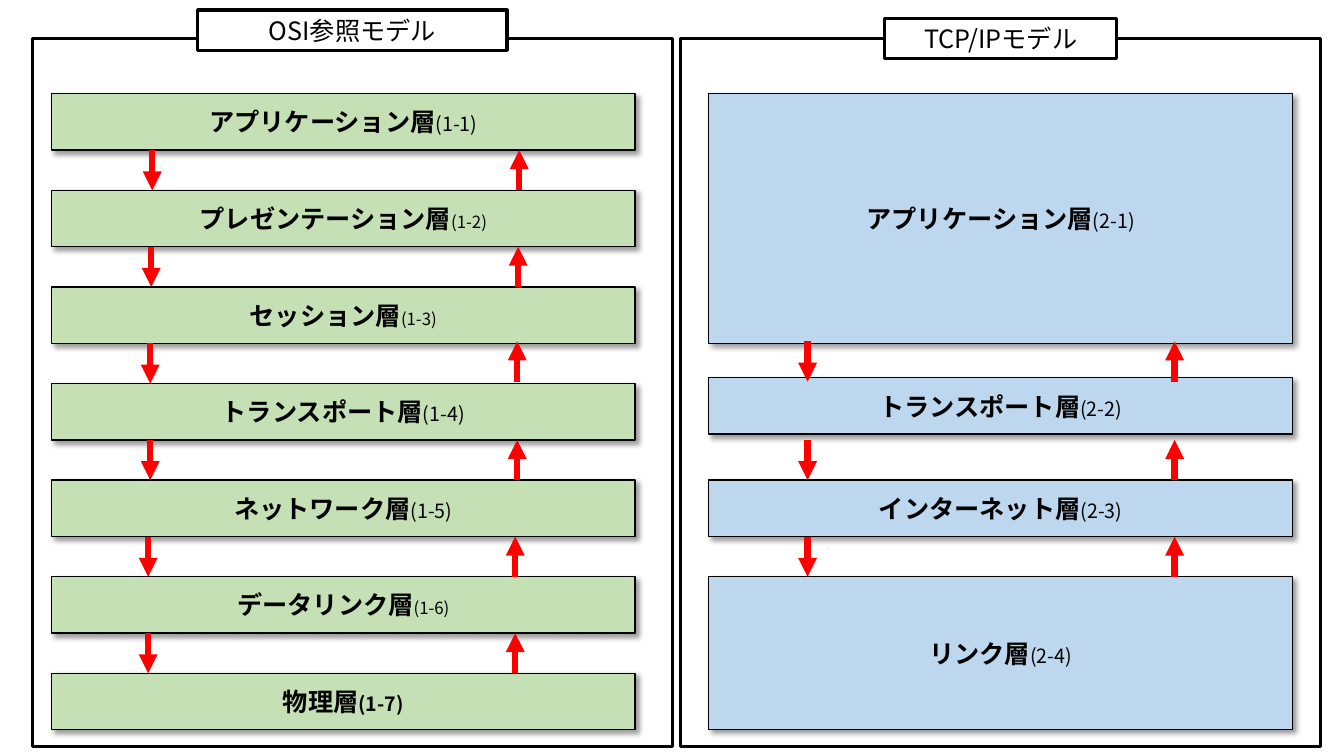
from pptx import Presentation
from pptx.dml.color import RGBColor
from pptx.enum.shapes import MSO_CONNECTOR, MSO_SHAPE
from pptx.enum.text import MSO_ANCHOR, MSO_AUTO_SIZE, PP_ALIGN
from pptx.oxml.ns import qn
from pptx.util import Inches, Pt
from lxml.etree import SubElement

COLORS = {"black": "000000", "white": "FFFFFF", "green": "C5E0B4",
          "blue": "BDD7EE", "red": "FF0000"}
FONT = "Noto Sans CJK JP"
TOP, BAR = 0.93, 0.56
PITCH = (6.68 - TOP) / 6
LAYER_W, ARROW_GAP = 5.79, 3.64


def row_y(row):
    """Return the top of a layer row in inches."""
    return TOP + row * PITCH


def rgb(name):
    """Return the named palette colour."""
    return RGBColor.from_string(COLORS[name])


class Diagram:
    """Draw layer-model elements on one slide in a shared style."""

    def __init__(self, slide):
        """Keep the slide to draw on."""
        self.shapes = slide.shapes

    def box(self, x, y, w, h, fill=None, line=2.25):
        """Add an outlined rectangle, filled when a colour is given."""
        sp = self.shapes.add_shape(MSO_SHAPE.RECTANGLE, *map(Inches, (x, y, w, h)))
        sp.shadow.inherit = False
        if fill:
            sp.fill.solid()
            sp.fill.fore_color.rgb = rgb(fill)
        else:
            sp.fill.background()
        sp.line.color.rgb = rgb("black")
        sp.line.width = Pt(line)
        return sp

    def text(self, sp, *runs):
        """Write centred runs given as text, size and boldness."""
        tf = sp.text_frame
        tf.vertical_anchor = MSO_ANCHOR.MIDDLE
        p = tf.paragraphs[0]
        p.alignment = PP_ALIGN.CENTER
        for content, size, bold in runs:
            r = p.add_run()
            r.text = content
            r.font.size, r.font.bold, r.font.name = Pt(size), bold, FONT
            r.font.color.rgb = rgb("black")
            ea = SubElement(r.font._element, qn("a:ea"), typeface=FONT)
            r.font._element.find(qn("a:latin")).addnext(ea)

    def shadow(self, sp):
        """Give a shape a soft shadow to the lower right."""
        effects = sp._element.spPr.find(qn("a:effectLst"))
        outer = SubElement(effects, qn("a:outerShdw"), blurRad=str(Pt(4)),
                           dist=str(Pt(3)), dir="2700000", algn="tl", rotWithShape="0")
        color = SubElement(outer, qn("a:srgbClr"), val=COLORS["black"])
        SubElement(color, qn("a:alpha"), val="40000")

    def frame(self, x, title, title_y, title_w):
        """Add a model frame with its title centred on the top edge."""
        width = 6.35
        self.box(x, 0.38, width, 7.03)
        sp = self.box(x + (width - title_w) / 2, title_y, title_w, 0.4, "white")
        self.text(sp, (title, 18, False))
        sp.text_frame.auto_size = MSO_AUTO_SIZE.SHAPE_TO_FIT_TEXT

    def layer(self, x, row, span, fill, name, number, size=14, bold=False):
        """Add a layer bar that covers a number of rows."""
        sp = self.box(x, row_y(row), LAYER_W, BAR + (span - 1) * PITCH, fill, 1)
        self.shadow(sp)
        self.text(sp, (name, 18, True), (number, size, bold))

    def arrow(self, x, start, end):
        """Add a vertical red arrow."""
        cn = self.shapes.add_connector(MSO_CONNECTOR.STRAIGHT,
                                       *map(Inches, (x, start, x, end)))
        cn.line.color.rgb = rgb("red")
        cn.line.width = Pt(4.5)
        SubElement(cn.line._get_or_add_ln(), qn("a:tailEnd"), type="triangle")
        SubElement(cn._element.spPr, qn("a:effectLst"))

    def arrow_pair(self, x, row, up_row=None):
        """Add the down and up arrows in the gap below a row."""
        up_row = row if up_row is None else up_row
        self.arrow(x, row_y(row) + BAR, row_y(row + 1))
        self.arrow(x + ARROW_GAP, row_y(up_row + 1), row_y(up_row) + BAR)


OSI_LAYERS = [
    ("アプリケーション層", 14), ("プレゼンテーション層", 12), ("セッション層", 12),
    ("トランスポート層", 14), ("ネットワーク層", 14), ("データリンク層", 12),
    ("物理層", 14),
]
TCP_LAYERS = [
    ("アプリケーション層", 0, 3), ("トランスポート層", 2.94, 1),
    ("インターネット層", 4, 1), ("リンク層", 5, 2),
]
OSI_ARROWS = [1.51, 1.5, 1.49, 1.49, 1.47, 1.47]

prs = Presentation()
prs.slide_width, prs.slide_height = Inches(13.33), Inches(7.5)
d = Diagram(prs.slides.add_slide(prs.slide_layouts[6]))

d.frame(0.32, "OSI参照モデル", 0.1, 3.07)
d.frame(6.75, "TCP/IPモデル", 0.18, 2.3)
for i, (name, size) in enumerate(OSI_LAYERS):
    d.layer(0.51, i, 1, "green", name, f"(1-{i + 1})", size, name == "物理層")
for i, (name, row, span) in enumerate(TCP_LAYERS, 1):
    d.layer(7.03, row, span, "blue", name, f"(2-{i})")
for row, x in enumerate(OSI_ARROWS):
    d.arrow_pair(x, row, 1.98 if row == 2 else row)
for row in (1.98, 3, 4):
    d.arrow_pair(8.01, row)

prs.save("out.pptx")
